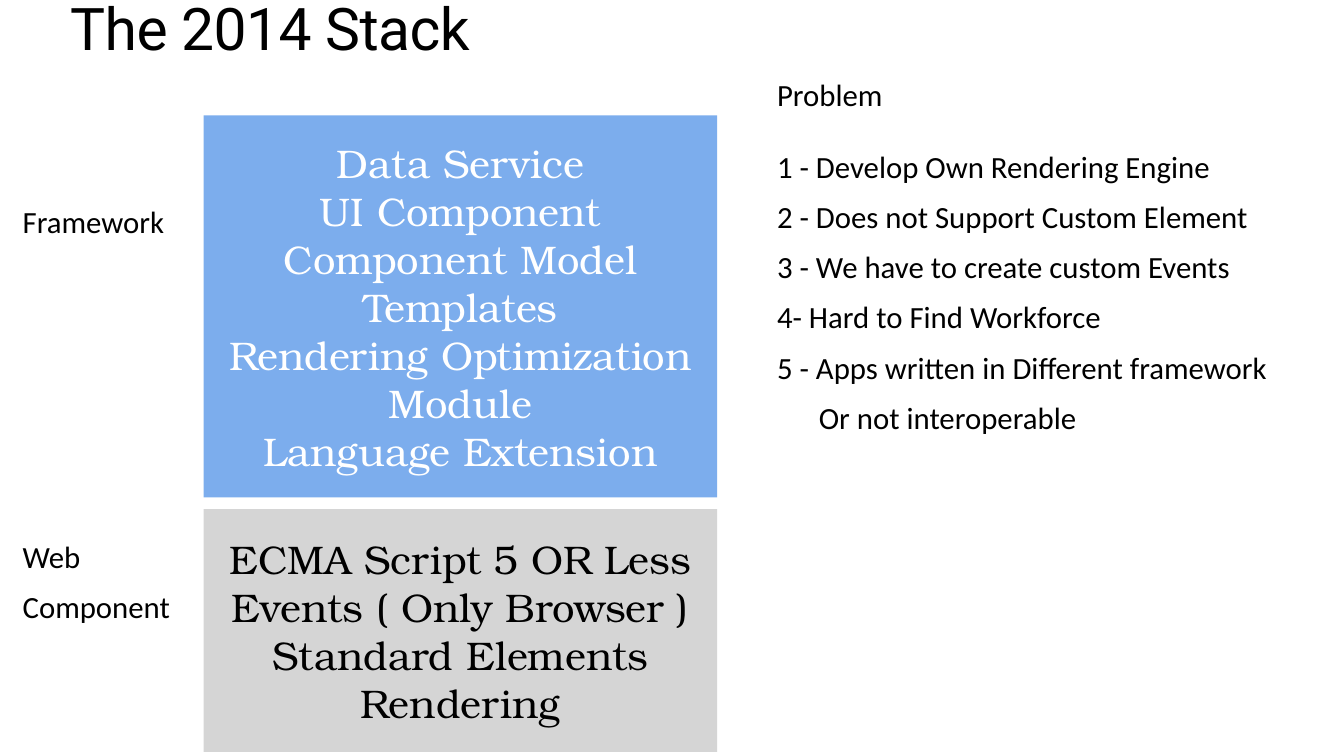
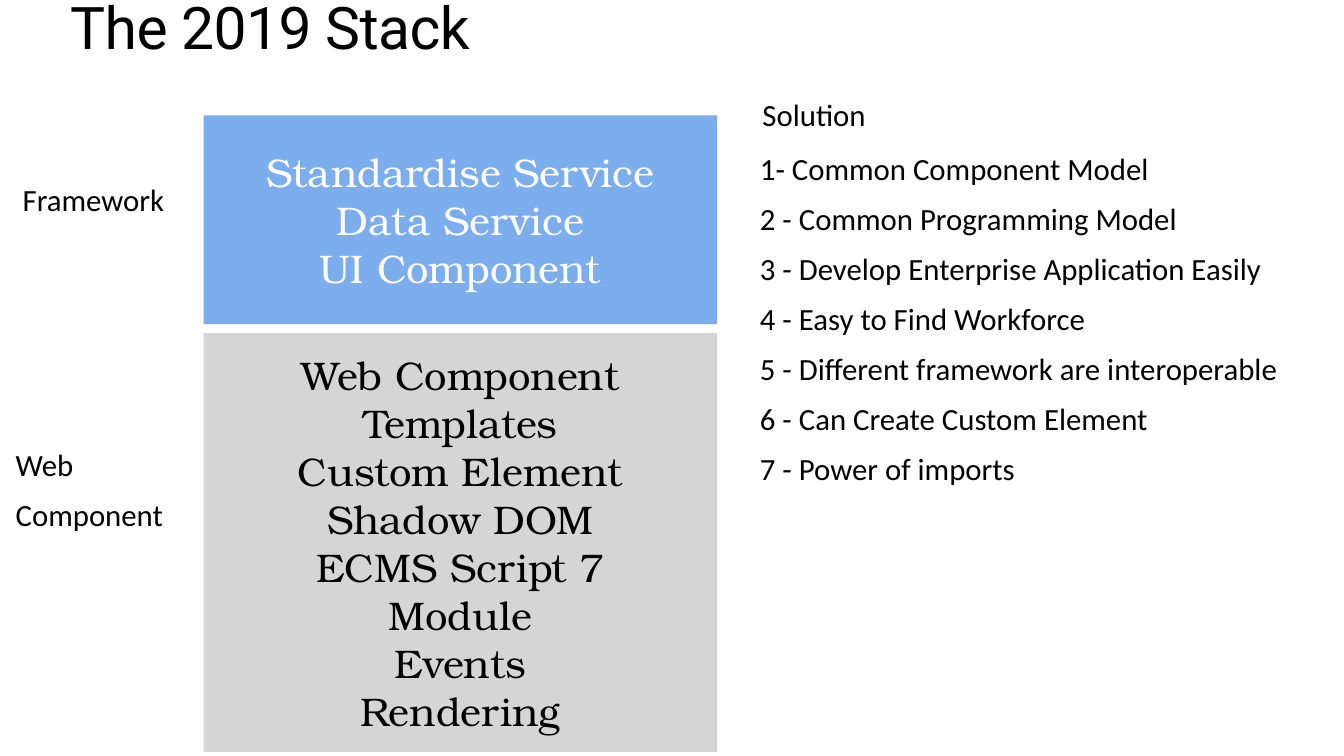
from dataclasses import dataclass

from lxml.etree import SubElement
from pptx import Presentation
from pptx.dml.color import RGBColor
from pptx.enum.shapes import MSO_SHAPE
from pptx.enum.text import MSO_ANCHOR, MSO_AUTO_SIZE, PP_ALIGN
from pptx.oxml.ns import qn
from pptx.slide import Slide
from pptx.text.text import TextFrame, _Paragraph
from pptx.util import Inches, Pt

# Shared look
BLACK = RGBColor(0x00, 0x00, 0x00)
WHITE = RGBColor(0xFF, 0xFF, 0xFF)
FRAMEWORK_BLUE = RGBColor(0x7C, 0xAD, 0xED)
BROWSER_GREY = RGBColor(0xD5, 0xD5, 0xD5)
INSET = Inches(0.06)
HANGING_INDENT = Inches(0.83)

# Grid of 100 columns by 100 rows
SLIDE_WIDTH, SLIDE_HEIGHT = Inches(26.67), Inches(15)
COLUMN, ROW = SLIDE_WIDTH / 100, SLIDE_HEIGHT / 100
STACK_LEFT, STACK_WIDTH = 15.15, 38.21
STACK_TOP, STACK_BOTTOM = 15.27, 99.47
LINE_HEIGHT = 6.8


@dataclass(frozen=True)
class Area:
    left: float
    top: float
    width: float
    height: float

    def emu(self) -> tuple[int, int, int, int]:
        return (round(self.left * COLUMN), round(self.top * ROW),
                round(self.width * COLUMN), round(self.height * ROW))


@dataclass(frozen=True)
class TextStyle:
    font: str
    size: int
    line_spacing: float | None = None
    space_before: int | None = None
    align: PP_ALIGN = PP_ALIGN.LEFT


@dataclass(frozen=True)
class Tier:
    label: list[str]
    label_area: Area
    top: float
    bottom: float
    features: list[str]
    fill: RGBColor
    color: RGBColor


@dataclass(frozen=True)
class Stack:
    title: str
    title_top: float
    tiers: list[Tier]
    heading: str
    heading_area: Area
    points: list[str]
    points_area: Area
    continuation: str = ""


TITLE_STYLE = TextStyle("Roboto", 84, line_spacing=0.8)
TIER_STYLE = TextStyle("TeX Gyre Bonum", 57, align=PP_ALIGN.CENTER)
NOTE_STYLE = TextStyle("Calibri", 44, line_spacing=0.9, space_before=24)


def framework(label_top: float, bottom: float, features: list[str]) -> Tier:
    return Tier(["Framework"], Area(1.46, label_top, 12.19, LINE_HEIGHT),
                STACK_TOP, bottom, features, FRAMEWORK_BLUE, WHITE)


def web_component(label_left: float, label_top: float, top: float,
                  features: list[str]) -> Tier:
    return Tier(["Web", "Component"], Area(label_left, label_top, 13.2, 14.53),
                top, STACK_BOTTOM, features, BROWSER_GREY, BLACK)


STACKS = [
    Stack(
        "The 2014 Stack", 0.33,
        [
            framework(27, 65.8, [
                "Data Service", "UI Component", "Component Model", "Templates",
                "Rendering Optimization", "Module", "Language Extension"]),
            web_component(1.46, 71.33, 67.33, [
                "ECMA Script 5 OR Less", "Events ( Only Browser )",
                "Standard Elements", "Rendering"]),
        ],
        "Problem", Area(57.59, 10.13, 29.25, LINE_HEIGHT),
        [
            "1 - Develop Own Rendering Engine",
            "2 - Does not Support Custom Element",
            "3 - We have to create custom Events",
            "4- Hard to Find Workforce",
            "5 - Apps written in Different framework",
        ],
        Area(57.59, 19.73, 40.91, 45.47),
        continuation="Or not interoperable",
    ),
    Stack(
        "The 2019 Stack", 0.13,
        [
            framework(24, 42.87, [
                "Standardise Service", "Data Service", "UI Component"]),
            web_component(0.94, 59.07, 44.07, [
                "Web Component", "Templates", "Custom Element", "Shadow DOM",
                "ECMS Script 7", "Module", "Events", "Rendering"]),
        ],
        "Solution", Area(56.51, 12.8, 29.25, LINE_HEIGHT),
        [
            "1- Common Component Model",
            "2 - Common Programming Model",
            "3 - Develop Enterprise Application Easily",
            "4 - Easy to Find Workforce",
            "5 - Different framework are interoperable",
            "6 - Can Create Custom Element",
            "7 - Power of imports",
        ],
        Area(56.32, 19.93, 42.93, 53.2),
    ),
]


def place(shape, area: Area) -> None:
    shape.left, shape.top, shape.width, shape.height = area.emu()


def remove_bullet(paragraph: _Paragraph, margin: int = 0) -> None:
    properties = paragraph._p.get_or_add_pPr()
    properties.set("marL", str(margin))
    properties.set("indent", "0")
    SubElement(properties, qn("a:buNone"))


def write(frame: TextFrame, lines: list[str], style: TextStyle,
          color: RGBColor = BLACK, anchor: MSO_ANCHOR = MSO_ANCHOR.TOP,
          wrap: bool = True, grow: bool = False,
          listed: bool = False, continued: bool = False) -> None:
    """Fill a frame with one paragraph per line."""
    frame.margin_left = frame.margin_right = INSET
    frame.margin_top = frame.margin_bottom = INSET
    frame.vertical_anchor = anchor
    frame.word_wrap = wrap
    frame.auto_size = (MSO_AUTO_SIZE.SHAPE_TO_FIT_TEXT if grow
                       else MSO_AUTO_SIZE.NONE)
    for index, line in enumerate(lines):
        paragraph = frame.add_paragraph() if index else frame.paragraphs[0]
        paragraph.text = line
        paragraph.alignment = style.align
        if style.line_spacing is not None:
            paragraph.line_spacing = style.line_spacing
        if style.space_before is not None:
            paragraph.space_before = Pt(style.space_before)
        if listed:
            is_continuation = continued and index == len(lines) - 1
            remove_bullet(paragraph, HANGING_INDENT if is_continuation else 0)
        paragraph.font.name = style.font
        paragraph.font.size = Pt(style.size)
        paragraph.font.color.rgb = color


def add_title(slide: Slide, stack: Stack) -> None:
    title = slide.shapes.title
    place(title, Area(5, stack.title_top, 90, 12.6))
    write(title.text_frame, [stack.title], TITLE_STYLE)
    # Slightly tightened letters
    run = title.text_frame.paragraphs[0].runs[0]
    run._r.get_or_add_rPr().set("spc", "-80")


def add_note(slide: Slide, lines: list[str], area: Area, wrap: bool) -> None:
    note = slide.shapes.add_textbox(*area.emu())
    write(note.text_frame, lines, NOTE_STYLE, wrap=wrap, grow=True)


def add_tier(slide: Slide, tier: Tier) -> None:
    area = Area(STACK_LEFT, tier.top, STACK_WIDTH, tier.bottom - tier.top)
    block = slide.shapes.add_shape(MSO_SHAPE.RECTANGLE, *area.emu())
    block.shadow.inherit = False
    block.fill.solid()
    block.fill.fore_color.rgb = tier.fill
    block.line.fill.background()
    write(block.text_frame, tier.features, TIER_STYLE, tier.color,
          MSO_ANCHOR.MIDDLE)
    add_note(slide, tier.label, tier.label_area, wrap=False)


def add_points(slide: Slide, stack: Stack) -> None:
    body = slide.placeholders[1]
    place(body, stack.points_area)
    lines = stack.points + ([stack.continuation] if stack.continuation else [])
    write(body.text_frame, lines, NOTE_STYLE, wrap=False, grow=True,
          listed=True, continued=bool(stack.continuation))


def main() -> None:
    deck = Presentation()
    deck.slide_width, deck.slide_height = SLIDE_WIDTH, SLIDE_HEIGHT
    for stack in STACKS:
        slide = deck.slides.add_slide(deck.slide_layouts[1])
        add_title(slide, stack)
        for tier in stack.tiers:
            add_tier(slide, tier)
        add_note(slide, [stack.heading], stack.heading_area, wrap=True)
        add_points(slide, stack)
    deck.save("out.pptx")


if __name__ == "__main__":
    main()
